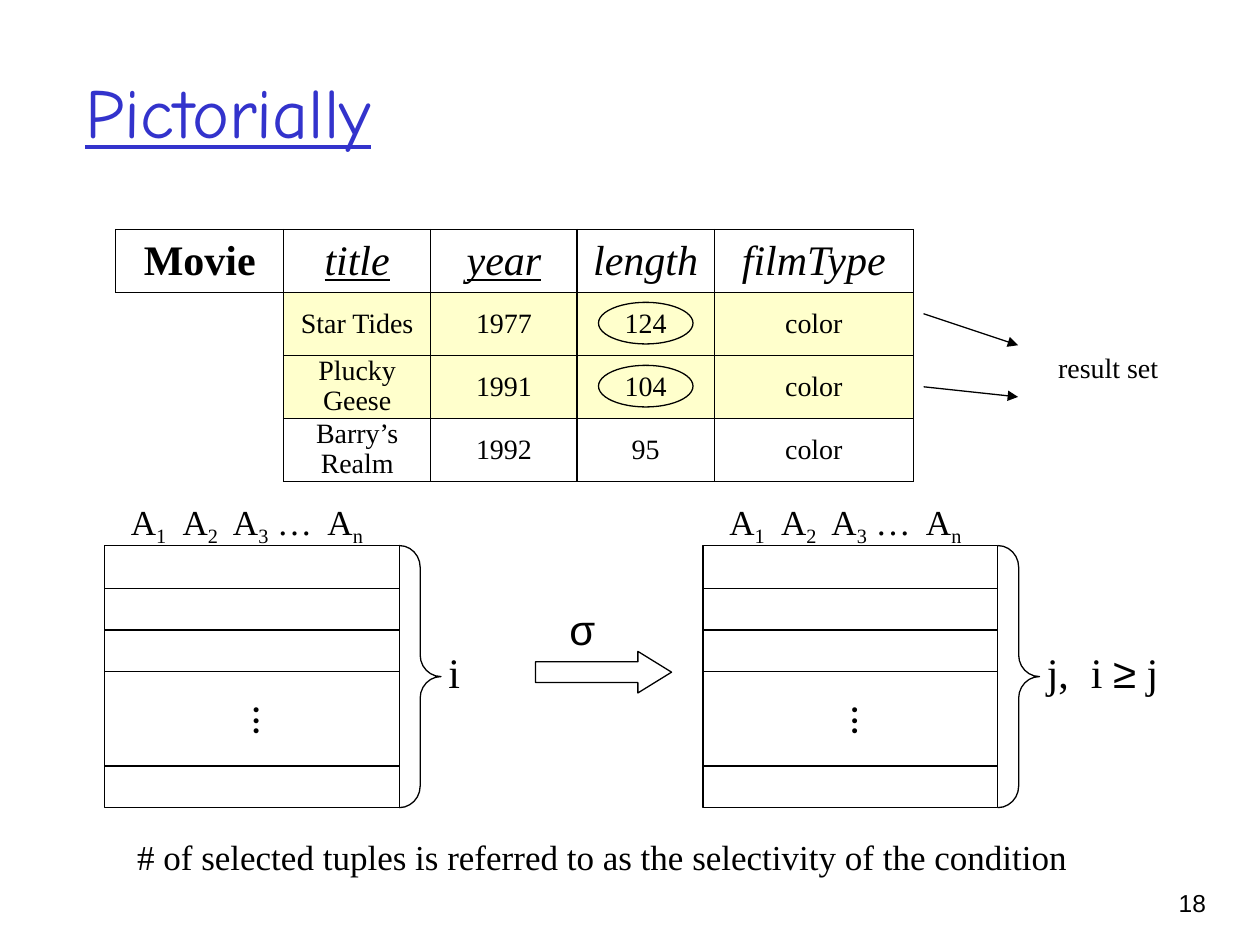
from dataclasses import dataclass

from lxml.etree import SubElement
from pptx import Presentation
from pptx.dml.color import RGBColor
from pptx.enum.shapes import MSO_CONNECTOR as Connector, MSO_SHAPE as Shape
from pptx.enum.text import MSO_ANCHOR as Anchor, PP_ALIGN as Align
from pptx.oxml.ns import qn
from pptx.util import Inches, Pt


@dataclass(frozen=True)
class Theme:
    ink: str = "000000"
    title: str = "3333CC"
    selected: str = "FFFFCC"
    paper: str = "FFFFFF"
    serif: str = "Times New Roman"
    sans: str = "Arial"
    display: str = "Comic Neue"
    title_size: int = 40
    large: int = 24
    medium: int = 20
    small: int = 16
    number_size: int = 14
    line: float = 0.75


theme = Theme()


def write(frame, lines, size, font=theme.serif, color=theme.ink,
          align=Align.LEFT, tabs=(), spacing=None):
    """Each line is a list of (text, style) runs; tab stops are in inches."""
    frame.word_wrap = True
    for number, runs in enumerate(lines):
        paragraph = frame.paragraphs[0] if number == 0 else frame.add_paragraph()
        paragraph.alignment = align
        if spacing:
            paragraph.line_spacing = spacing
        if tabs:
            stops = SubElement(paragraph._p.get_or_add_pPr(), qn("a:tabLst"))
            for stop in tabs:
                SubElement(stops, qn("a:tab"), pos=str(Inches(stop)), algn="l")
        for text, style in runs:
            run = paragraph.add_run()
            run.text = text
            run.font.size = Pt(size)
            run.font.name = style.get("font", font)
            run.font.color.rgb = RGBColor.from_string(color)
            run.font.bold = style.get("bold", False)
            run.font.italic = style.get("italic", False)
            run.font.underline = style.get("underline", False)
            if style.get("subscript"):
                run._r.get_or_add_rPr().set("baseline", "-25000")


def add_line(x1, y1, x2, y2, arrow=False):
    line = slide.shapes.add_connector(
        Connector.STRAIGHT, Inches(x1), Inches(y1), Inches(x2), Inches(y2))
    line.line.color.rgb = RGBColor.from_string(theme.ink)
    line.line.width = Pt(theme.line)
    properties = line._element.spPr
    if arrow:
        SubElement(line.line._get_or_add_ln(), qn("a:tailEnd"), type="triangle")
    SubElement(properties, qn("a:effectLst"))


prs = Presentation()
prs.slide_width, prs.slide_height = Inches(10), Inches(7.5)
slide = prs.slides.add_slide(prs.slide_layouts[6])

# Movie table
columns = [1.33, 1.17, 1.16, 1.09, 1.58]
key, attribute = {"italic": True, "underline": True}, {"italic": True}
header = [("Movie", {"bold": True}), ("title", key), ("year", key),
          ("length", attribute), ("filmType", attribute)]
movies = [
    (["Star Tides"], "1977", "124", "color"),
    (["Plucky", "Geese"], "1991", "104", "color"),
    (["Barry’s", "Realm"], "1992", "95", "color"),
]
selected_rows = (1, 2)
row_height, table_top = 0.5, 1.82
movie_table = slide.shapes.add_table(
    len(movies) + 1, len(columns), Inches(0.92), Inches(table_top),
    Inches(sum(columns)), Inches(row_height * (len(movies) + 1))).table
movie_table.first_row = movie_table.horz_banding = False
for column, width in zip(movie_table.columns, columns):
    column.width = Inches(width)

rows = [[[[cell]] for cell in header]]
for name, *values in movies:
    texts = [[], name] + [[value] for value in values]
    rows.append([[[(line, {})] for line in lines] for lines in texts])

for r, row in enumerate(rows):
    movie_table.rows[r].height = Inches(row_height)
    for c, lines in enumerate(row):
        cell = movie_table.cell(r, c)
        cell.vertical_anchor = Anchor.MIDDLE
        cell.margin_left = cell.margin_right = Inches(0.05)
        cell.margin_top = cell.margin_bottom = 0
        write(cell.text_frame, lines, theme.small if r else theme.large,
              align=Align.CENTER, spacing=0.95 if len(lines) > 1 else None)
        bordered = {"a:lnL", "a:lnR", "a:lnT", "a:lnB"}
        if r and c == 0:
            bordered = {"a:lnR"} | ({"a:lnT"} if r == 1 else set())
        for side in ("a:lnL", "a:lnR", "a:lnT", "a:lnB"):
            border = SubElement(cell._tc.get_or_add_tcPr(), qn(side),
                                w=str(Pt(theme.line)))
            if side in bordered:
                SubElement(SubElement(border, qn("a:solidFill")),
                           qn("a:srgbClr"), val=theme.ink)
            else:
                SubElement(border, qn("a:noFill"))
        if r in selected_rows and c:
            cell.fill.solid()
            cell.fill.fore_color.rgb = RGBColor.from_string(theme.selected)
        else:
            cell.fill.background()

# Outlined shapes: (preset, left, top, width, height, filled, adjustments)
relation_lefts = (0.83, 5.58)
relation_top, relation_width, relation_height = 4.33, 2.34, 2.08
outlines = [(Shape.RIGHT_ARROW, 4.25, 5.17, 1.08, 0.33, True, (0.5, 0.81))]
for r in selected_rows:
    outlines.append((Shape.OVAL, 4.75, table_top + r * row_height + 0.08,
                     0.75, 0.33, False, ()))
for left in relation_lefts:
    outlines.append((Shape.RECTANGLE, left, relation_top,
                     relation_width, relation_height, True, ()))
    outlines.append((Shape.RIGHT_BRACE, left + relation_width, relation_top,
                     0.33, relation_height, False, (0.52, 0.5)))
for preset, left, top, width, height, filled, adjustments in outlines:
    outline = slide.shapes.add_shape(
        preset, Inches(left), Inches(top), Inches(width), Inches(height))
    outline.shadow.inherit = False
    outline.line.color.rgb = RGBColor.from_string(theme.ink)
    outline.line.width = Pt(theme.line)
    if filled:
        outline.fill.solid()
        outline.fill.fore_color.rgb = RGBColor.from_string(theme.paper)
    else:
        outline.fill.background()
    for number, value in enumerate(adjustments):
        outline.adjustments[number] = value

for left in relation_lefts:
    for y in (4.67, 5, 5.33, 6.08):
        add_line(left, y, left + relation_width, y)
add_line(7.33, 2.49, 8.08, 2.74, arrow=True)
add_line(7.33, 3.07, 8.08, 3.15, arrow=True)

# Text boxes: (left, top, width, height, runs, size, options)
low = {"subscript": True}
attributes = [("A", {}), ("1", low), ("\tA", {}), ("2", low),
              ("\tA", {}), ("3", low), (" …\tA", {}), ("n", low)]
labels = [
    (8.93, 7, 0.74, 0.5, [("18", {})], theme.number_size,
     {"font": theme.sans, "align": Align.RIGHT}),
    (0.58, 0.25, 8.5, 1.25, [("Pictorially", {"underline": True})],
     theme.title_size, {"font": theme.display, "color": theme.title}),
    (3.46, 5.08, 0.29, 0.5, [("i", {})], theme.large, {}),
    (8.21, 5.08, 1.24, 0.5,
     [("j,\ti ", {}), ("≥", {"font": theme.sans}), (" j", {})],
     theme.large, {"tabs": (0.35,)}),
    (4.42, 4.74, 0.4, 0.5, [("σ", {})], theme.large, {"font": theme.sans}),
    (8.3, 2.73, 1.2, 0.37, [("result set", {})], theme.small, {}),
    (0.99, 6.58, 8, 0.44,
     [("# of selected tuples is referred to as the selectivity of the condition", {})],
     theme.medium, {}),
]
for left in relation_lefts:
    labels.append((left + 0.11, 3.92, 2.09, 0.48, attributes, theme.medium,
                   {"tabs": (0.41, 0.81, 1.56)}))
    labels.append((left + 0.76, 5.47, 0.65, 0.5, [("...", {})], theme.large,
                   {"align": Align.CENTER}))
for left, top, width, height, runs, size, options in labels:
    label = slide.shapes.add_textbox(
        Inches(left), Inches(top), Inches(width), Inches(height))
    write(label.text_frame, [runs], size, **options)
    if size == theme.title_size:
        label.text_frame.vertical_anchor = Anchor.MIDDLE
    if runs[0][0] == "...":
        label.rotation = 270

prs.save("out.pptx")
